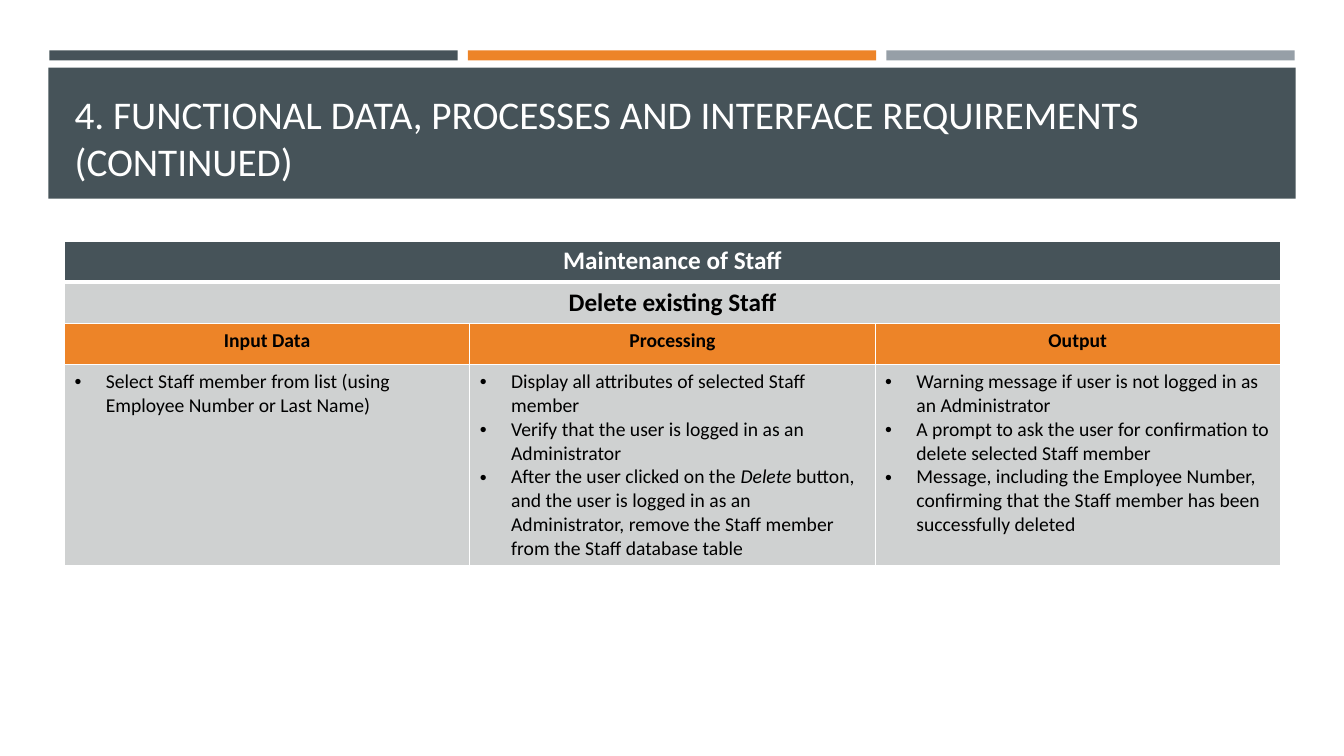
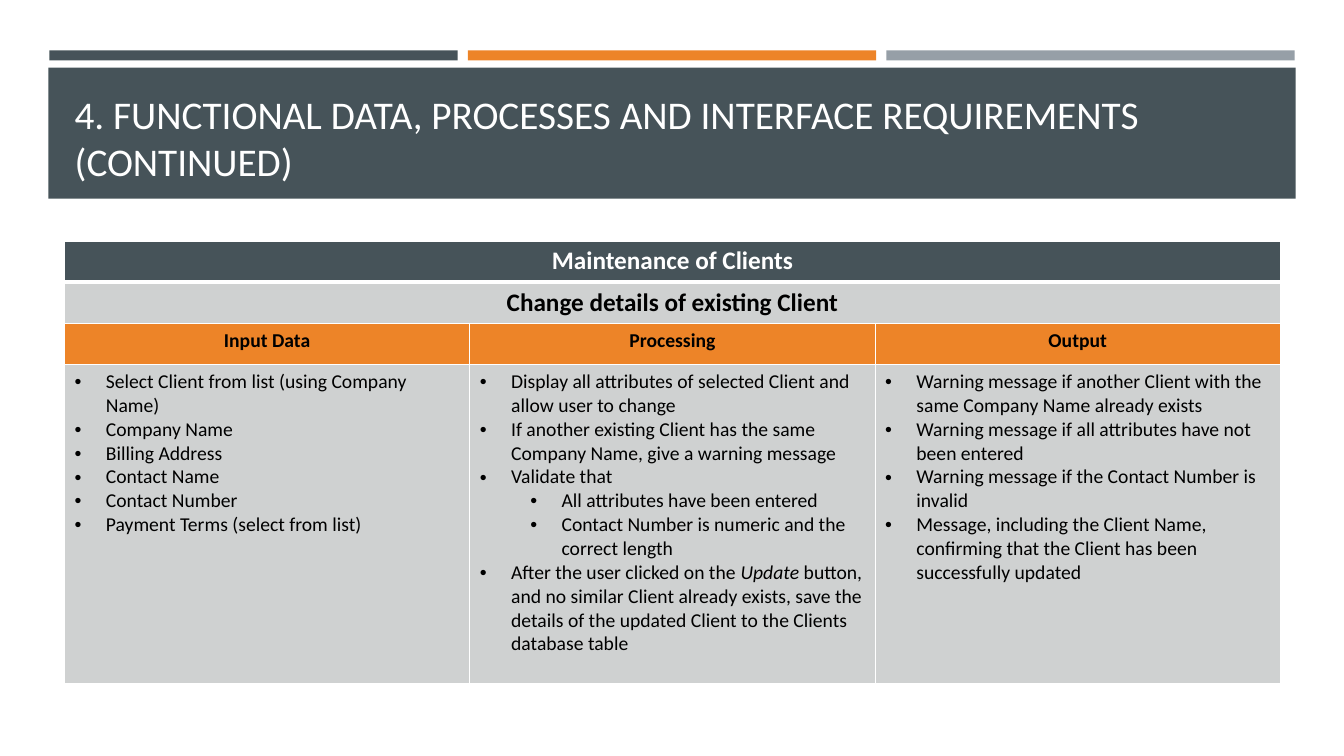
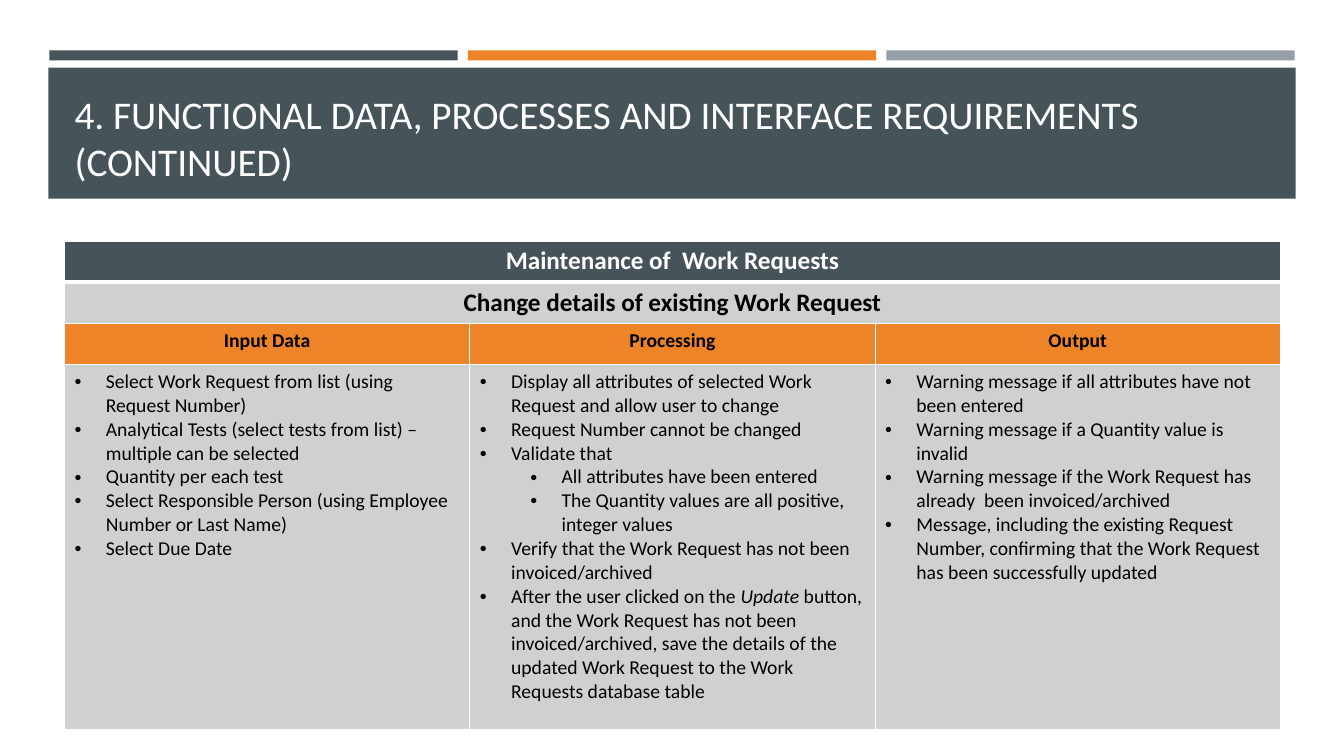
"""Build three requirement slides, each with a title band and one process table."""
from dataclasses import dataclass

from lxml.etree import SubElement
from pptx import Presentation
from pptx.dml.color import RGBColor
from pptx.enum.shapes import MSO_SHAPE
from pptx.enum.text import MSO_ANCHOR, MSO_AUTO_SIZE, PP_ALIGN
from pptx.oxml.ns import qn
from pptx.util import Inches, Pt


@dataclass(frozen=True)
class Theme:
    font: str = "Calibri"
    slate: str = "465359"
    orange: str = "ED8428"
    steel: str = "969FA7"
    pale: str = "CFD1D1"
    white: str = "FFFFFF"
    black: str = "000000"
    title: int = 28
    heading: int = 18
    body: int = 14


T = Theme()
TITLE = "4. FUNCTIONAL DATA, PROCESSES AND INTERFACE REQUIREMENTS (CONTINUED)"
COLUMNS = ["Input Data", "Processing", "Output"]
SLIDES = [
    {
        "area": "Maintenance of Staff",
        "task": "Delete existing Staff",
        "height": 1.97,
        "cells": [
            ["Select Staff member from list (using Employee Number or Last Name)"],
            ["Display all attributes of selected Staff member",
             "Verify that the user is logged in as an Administrator",
             "After the user clicked on the *Delete* button, and the user is logged in as an "
             "Administrator, remove the Staff member from the Staff database table"],
            ["Warning message if user is not logged in as an Administrator",
             "A prompt to ask the user for confirmation to delete selected Staff member",
             "Message, including the Employee Number, confirming that the Staff member "
             "has been successfully deleted"],
        ],
    },
    {
        "area": "Maintenance of Clients",
        "task": "Change details of existing Client",
        "height": 3.16,
        "cells": [
            ["Select Client from list (using Company Name)",
             "Company Name",
             "Billing Address",
             "Contact Name",
             "Contact Number",
             "Payment Terms (select from list)"],
            ["Display all attributes of selected Client and allow user to change",
             "If another existing Client has the same Company Name, give a warning message",
             "Validate that",
             ["All attributes have been entered",
              "Contact Number is numeric and the correct length"],
             "After the user clicked on the *Update* button, and no similar Client already "
             "exists, save the details of the updated Client to the Clients database table"],
            ["Warning message if another Client with the same Company Name already exists",
             "Warning message if all attributes have not been entered",
             "Warning message if the Contact Number is invalid",
             "Message, including the Client Name, confirming that the Client has been "
             "successfully updated"],
        ],
    },
    {
        "area": "Maintenance of  Work Requests",
        "task": "Change details of existing Work Request",
        "height": 3.62,
        "cells": [
            ["Select Work Request from list (using Request Number)",
             "Analytical Tests (select tests from list) – multiple can be selected",
             "Quantity per each test",
             "Select Responsible Person (using Employee Number or Last Name)",
             "Select Due Date"],
            ["Display all attributes of selected Work Request and allow user to change",
             "Request Number cannot be changed",
             "Validate that",
             ["All attributes have been entered",
              "The Quantity values are all positive, integer values"],
             "Verify that the Work Request has not been invoiced/archived",
             "After the user clicked on the *Update* button, and the Work Request has not been "
             "invoiced/archived, save the details of the updated Work Request to the Work "
             "Requests database table"],
            ["Warning message if all attributes have not been entered",
             "Warning message if a Quantity value is invalid",
             "Warning message if the Work Request has already  been invoiced/archived",
             "Message, including the existing Request Number, confirming that the Work "
             "Request has been successfully updated"],
        ],
    },
]

LEFT, WIDTH = 0.64, 12.06
TABLE_TOP, HEAD_ROW = 2.39, 0.41
BAR_LEFT, BAR_WIDTH, BAR_STEP = 0.49, 4.05, 4.15
INDENT, LEVEL_STEP = 0.31, 0.5


def add_bullet(p, level):
    p.level = level
    pPr = p._p.get_or_add_pPr()
    pPr.set("marL", str(Inches(INDENT + LEVEL_STEP * level)))
    pPr.set("indent", str(-Inches(INDENT)))
    SubElement(pPr, qn("a:buFont"), typeface="Arial")
    SubElement(pPr, qn("a:buChar"), char="•")


def write(tf, items, size=T.body, color=T.black, bold=False, align=PP_ALIGN.LEFT, bullets=False):
    lines = []
    for item in items:
        lines += [(1, sub) for sub in item] if isinstance(item, list) else [(0, item)]
    for n, (level, text) in enumerate(lines):
        p = tf.add_paragraph() if n else tf.paragraphs[0]
        p.alignment = align
        if bullets:
            add_bullet(p, level)
        for k, part in enumerate(text.split("*")):
            r = p.add_run()
            r.text = part
            r.font.name, r.font.size = T.font, Pt(size)
            r.font.bold, r.font.italic = bold, k % 2 == 1
            r.font.color.rgb = RGBColor.from_string(color)


def add_bands(s, layout):
    bars = [(BAR_LEFT + n * BAR_STEP, 0.5, BAR_WIDTH, 0.1, color)
            for n, color in enumerate([T.slate, T.orange, T.steel])]
    for *box, color in bars + [(0.48, 0.67, 12.37, 1.3, T.slate)]:
        sp = s.shapes.add_shape(MSO_SHAPE.RECTANGLE, *map(Inches, box))
        sp.fill.solid()
        sp.fill.fore_color.rgb = RGBColor.from_string(color)
        sp.line.fill.background()
        sp.shadow.inherit = False
        layout.shapes.element.append(sp.element)


def add_title(s):
    title = s.shapes.title
    title.left, title.top, title.width, title.height = map(Inches, (LEFT, 0.77, WIDTH, 1.11))
    tf = title.text_frame
    tf.word_wrap, tf.auto_size = True, MSO_AUTO_SIZE.NONE
    tf.vertical_anchor = MSO_ANCHOR.BOTTOM
    write(tf, [TITLE], size=T.title, color=T.white)


def style_cell(cell, row, fill):
    tcPr = cell._tc.get_or_add_tcPr()
    heavy = {0: "lnB", 1: "lnT"}.get(row)
    for side in ("lnL", "lnR", "lnT", "lnB"):
        ln = SubElement(tcPr, qn("a:" + side), w=str(Pt(3 if side == heavy else 1)))
        SubElement(SubElement(ln, qn("a:solidFill")), qn("a:srgbClr"), val=T.white)
    cell.fill.solid()
    cell.fill.fore_color.rgb = RGBColor.from_string(fill)


def add_process_table(s, data):
    heights = [HEAD_ROW] * 3 + [data["height"]]
    box = map(Inches, (LEFT, TABLE_TOP, WIDTH, sum(heights)))
    table = s.shapes.add_table(len(heights), len(COLUMNS), *box).table
    table.first_row = table.horz_banding = False
    for row, height in enumerate(heights):
        table.rows[row].height = Inches(height)
        for cell in table.rows[row].cells:
            style_cell(cell, row, (T.slate, T.pale, T.orange, T.pale)[row])
    heading = {"size": T.heading, "bold": True, "align": PP_ALIGN.CENTER}
    for row, (key, color) in enumerate([("area", T.white), ("task", T.black)]):
        table.cell(row, 0).merge(table.cell(row, len(COLUMNS) - 1))
        write(table.cell(row, 0).text_frame, [data[key]], color=color, **heading)
    for col, (name, items) in enumerate(zip(COLUMNS, data["cells"])):
        table.columns[col].width = Inches(WIDTH / len(COLUMNS))
        write(table.cell(2, col).text_frame, [name], bold=True, align=PP_ALIGN.CENTER)
        write(table.cell(3, col).text_frame, items, bullets=True)


def main():
    prs = Presentation()
    prs.slide_width, prs.slide_height = Inches(13.33), Inches(7.5)
    layout = prs.slide_layouts.get_by_name("Title Only")
    for n, data in enumerate(SLIDES):
        s = prs.slides.add_slide(layout)
        if n == 0:
            add_bands(s, layout)
        add_title(s)
        add_process_table(s, data)
    prs.save("out.pptx")


if __name__ == "__main__":
    main()
